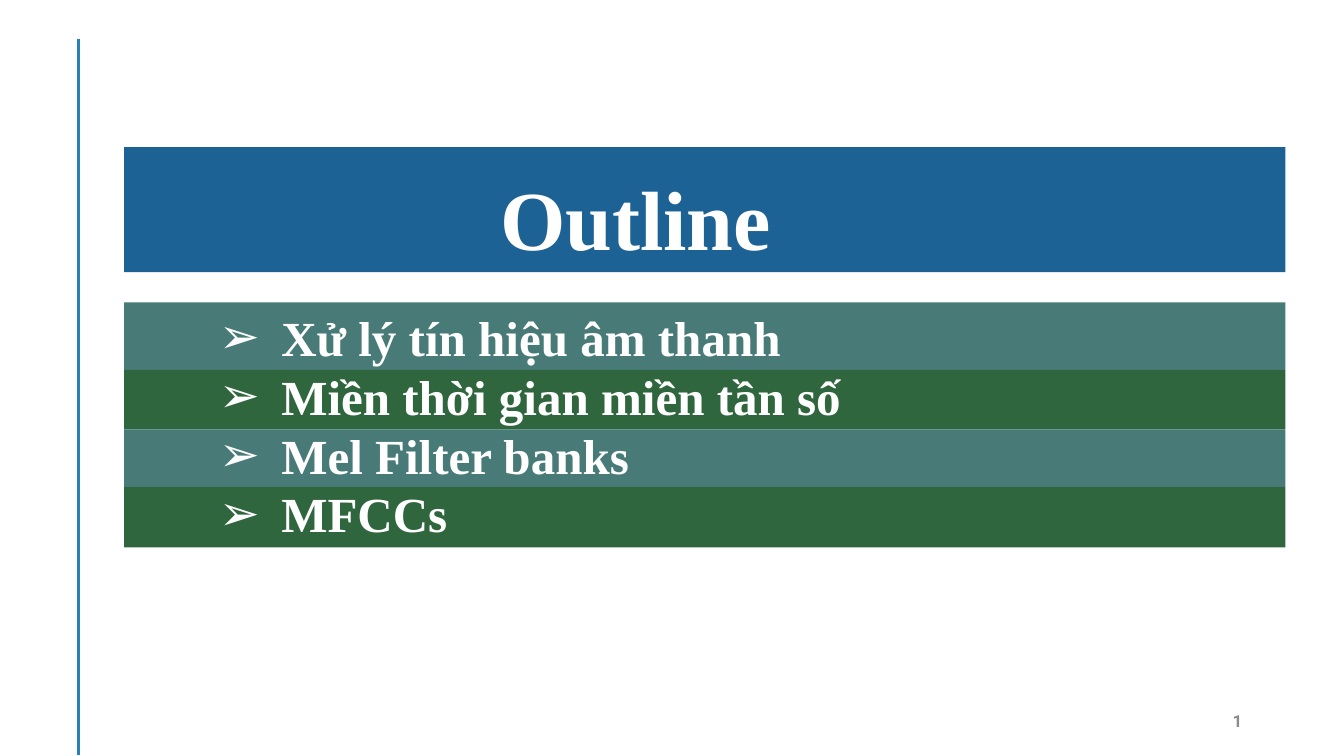
import pptx
import pptx.util
import pptx.dml.color
import pptx.enum.shapes
import pptx.enum.text
import pptx.oxml
import pptx.oxml.ns
from lxml import etree

Inches, Pt = pptx.util.Inches, pptx.util.Pt
Align, Anchor = pptx.enum.text.PP_ALIGN, pptx.enum.text.MSO_ANCHOR
HUES = {"rule": "2980B9", "head": "1D6294", "teal": "487B78",
        "green": "2F663E", "white": "FFFFFF", "gray": "8C8C8C"}
SERIF = "Times New Roman"


class Deck:
    """Holds the style and the current slide, and draws each kind of element."""

    def __init__(self):
        self.prs = pptx.Presentation()
        self.prs.slide_width, self.prs.slide_height = Inches(13.33), Inches(7.5)
        self.slide = self.prs.slides.add_slide(self.prs.slide_layouts[1])
        self.shapes = self.slide.shapes

    def hue(self, name):
        return pptx.dml.color.RGBColor.from_string(HUES[name])

    def rule(self, x, top, end):
        kind = pptx.enum.shapes.MSO_CONNECTOR.STRAIGHT
        line = self.shapes.add_connector(kind, Inches(x), Inches(top), Inches(x), Inches(end))
        line.line.color.rgb = self.hue("rule")
        line.line.width = Pt(2)
        etree.SubElement(line.element.spPr, pptx.oxml.ns.qn("a:effectLst"))

    def band(self, top, high, name):
        kind = pptx.enum.shapes.MSO_SHAPE.RECTANGLE
        bar = self.shapes.add_shape(kind, Inches(1.23), Inches(top), Inches(11.52), Inches(high))
        bar.shadow.inherit = False
        bar.fill.solid()
        bar.fill.fore_color.rgb = self.hue(name)
        bar.line.fill.background()

    def place(self, box, left, top, wide, high, anchor, wrap=True):
        box.left, box.top = Inches(left), Inches(top)
        box.width, box.height = Inches(wide), Inches(high)
        self.shapes.element.append(box.element)
        frame = box.text_frame
        frame.auto_size = pptx.enum.text.MSO_AUTO_SIZE.NONE
        frame.word_wrap, frame.vertical_anchor = wrap, anchor
        return frame

    def words(self, para, text, size, name, font=SERIF):
        run = para.add_run()
        run.text = text
        run.font.size, run.font.name, run.font.bold = Pt(size), font, True
        run.font.color.rgb = self.hue(name)

    def title(self, text):
        frame = self.place(self.shapes.title, 4.85, 1.59, 2.91, 1.11, Anchor.BOTTOM, False)
        para = frame.paragraphs[0]
        para.alignment = Align.CENTER
        self.words(para, text, 60, "white")

    def list(self, items):
        frame = self.place(self.slide.placeholders[1], 2.07, 3, 10.44, 2.46, Anchor.TOP)
        for i, item in enumerate(items):
            para = frame.add_paragraph() if i else frame.paragraphs[0]
            props = para._p.get_or_add_pPr()
            props.set("marL", str(Inches(0.62)))
            props.set("indent", str(-Inches(0.62)))
            mark = etree.SubElement(props, pptx.oxml.ns.qn("a:buChar"))
            mark.set("char", "➢")
            para.space_before, para.line_spacing = Pt(0), Pt(42)
            self.words(para, item, 35, "white")

    def number(self, text):
        box = self.shapes.add_textbox(0, 0, 0, 0)
        para = self.place(box, 9.42, 6.95, 3, 0.4, Anchor.MIDDLE).paragraphs[0]
        para.alignment = Align.RIGHT
        self.words(para, text, 12, "gray", "Roboto")


def main():
    deck = Deck()
    deck.rule(0.78, 0.39, 7.49)
    deck.band(1.46, 1.24, "head")
    top = 3
    for high, name in zip((0.67, 0.59, 0.57, 0.6), ("teal", "green") * 2):
        deck.band(top, high, name)
        top += high
    deck.title("Outline")
    deck.list(["Xử lý tín hiệu âm thanh", "Miền thời gian miền tần số",
               "Mel Filter banks", "MFCCs"])
    deck.number("1")
    deck.prs.save("out.pptx")


if __name__ == "__main__":
    main()
